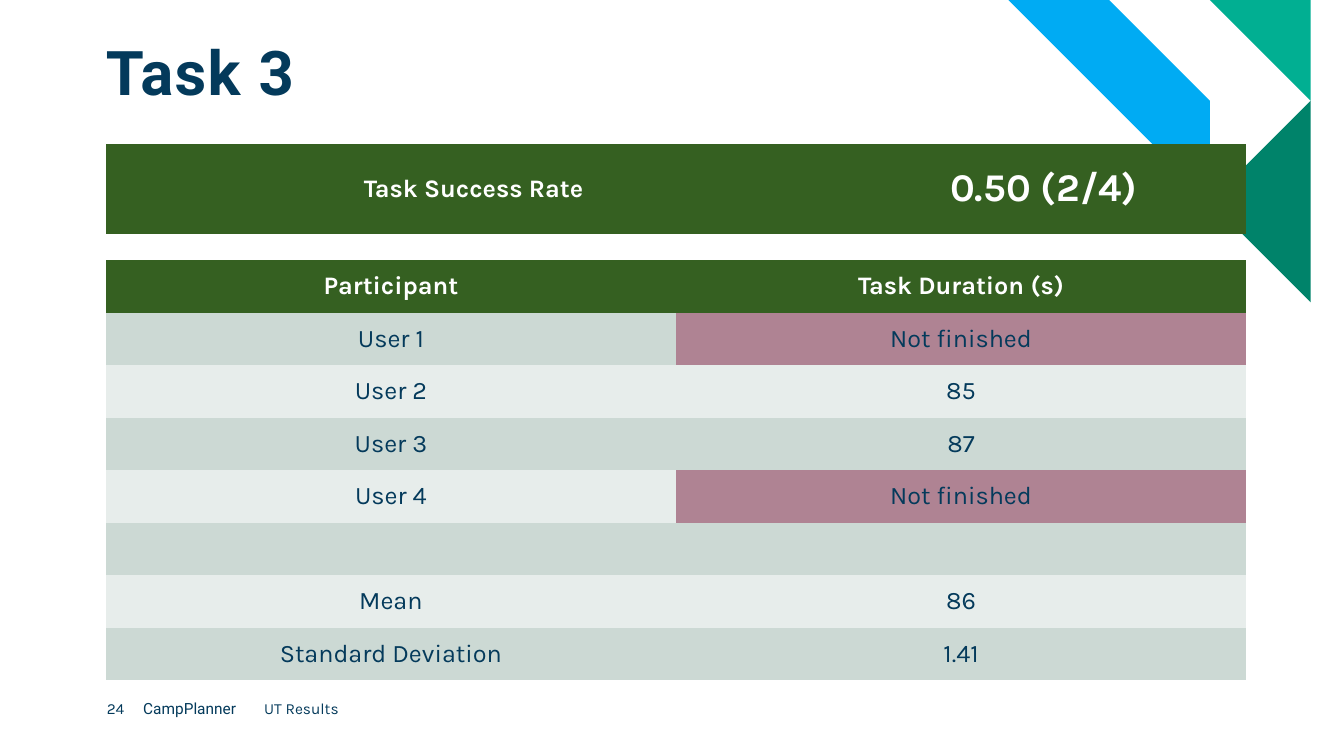
from pptx import Presentation
from pptx import util as u
from pptx.dml.color import RGBColor
from pptx.enum import text
from pptx.oxml.ns import qn

NAVY = RGBColor(0x04, 0x3A, 0x5B)
WHITE = RGBColor(0xFF, 0xFF, 0xFF)
GREEN = RGBColor(0x35, 0x60, 0x21)
BANDS = [RGBColor(0xCC, 0xD9, 0xD4), RGBColor(0xE7, 0xED, 0xEB)]
FAILED = RGBColor(0xAF, 0x83, 0x93)
BLUE = RGBColor(0x00, 0xAB, 0xF3)
MINT = RGBColor(0x01, 0xAF, 0x92)
TEAL = RGBColor(0x00, 0x83, 0x6A)

WIDTH, HEIGHT = 13.33, 7.5
LEFT, TABLE_WIDTH = 1.05, 11.31
NO_STYLE = "{2D5ABB26-0587-4C30-8999-92F81FD0307C}"

presentation = Presentation()
presentation.slide_width = u.Inches(WIDTH)
presentation.slide_height = u.Inches(HEIGHT)
slide = presentation.slides.add_slide(presentation.slide_layouts[6])


def add_label(words, left, top, width, height, size, font_name):
    shape = slide.shapes.add_textbox(*map(u.Inches, (left, top, width, height)))
    frame = shape.text_frame
    frame.word_wrap = True
    frame.margin_left = frame.margin_right = frame.margin_top = frame.margin_bottom = 0
    paragraph = frame.paragraphs[0]
    paragraph.text = words
    paragraph.font.size = u.Pt(size)
    paragraph.font.name = font_name
    paragraph.font.color.rgb = NAVY
    return frame


def add_grid(rows, top, height, column_shares):
    """Add a table whose first row is a header; None marks a merged empty row."""
    frame = slide.shapes.add_table(
        len(rows), 2, *map(u.Inches, (LEFT, top, TABLE_WIDTH, height)))
    table = frame.table
    table._tbl.tblPr.find(qn("a:tableStyleId")).text = NO_STYLE
    for column, share in zip(table.columns, column_shares):
        column.width = u.Inches(TABLE_WIDTH * share)
    for i, row in enumerate(rows):
        table.rows[i].height = u.Inches(height / len(rows))
        for j, words in enumerate(row or ("", "")):
            cell = table.cell(i, j)
            cell.vertical_anchor = text.MSO_ANCHOR.MIDDLE
            cell.fill.solid()
            fill = GREEN if i == 0 else BANDS[(i - 1) % 2]
            cell.fill.fore_color.rgb = FAILED if words == "Not finished" else fill
            paragraph = cell.text_frame.paragraphs[0]
            paragraph.text = words
            paragraph.alignment = text.PP_ALIGN.CENTER
            paragraph.font.size = u.Pt(18)
            paragraph.font.name = "Karla"
            paragraph.font.bold = i == 0
            paragraph.font.color.rgb = WHITE if i == 0 else NAVY
        if row is None:
            table.cell(i, 0).merge(table.cell(i, 1))
    return table


# Corner decoration
corner_shapes = [
    (BLUE, [(10.1, -0.02), (11.19, -0.02), (12.27, 1.07), (11.73, 1.61)]),
    (MINT, [(12.27, -0.02), (WIDTH, -0.02), (WIDTH, 1.04)]),
    (TEAL, [(WIDTH, 3.22), (12.27, 2.16), (WIDTH, 1.09)]),
]
for color, points in corner_shapes:
    builder = slide.shapes.build_freeform(*points[0], scale=u.Inches(1))
    builder.add_line_segments(points[1:], close=True)
    shape = builder.convert_to_shape()
    shape.shadow.inherit = False
    shape.fill.solid()
    shape.fill.fore_color.rgb = color
    shape.line.fill.background()

# Footer
add_label("24", 1.06, 6.94, 0.36, 0.29, 11, "Karla")
add_label("CampPlanner", 1.42, 6.94, 1.2, 0.29, 11, "Roboto")
add_label("UT Results", 2.62, 6.94, 1.33, 0.4, 11, "Karla")

# Task durations
durations = [
    ("Participant", "Task Duration (s)"),
    ("User 1", "Not finished"),
    ("User 2", "85"),
    ("User 3", "87"),
    ("User 4", "Not finished"),
    None,
    ("Mean", "86"),
    ("Standard Deviation", "1.41"),
]
add_grid(durations, 2.58, 4.17, (1 / 2, 1 / 2))

# Success rate
success = add_grid([("Task Success Rate", "0.50 (2/4)")], 1.43, 0.89, (0.645, 0.355))
success.cell(0, 1).text_frame.paragraphs[0].font.size = u.Pt(28)

# Title
title = add_label("Task 3", LEFT, 0.41, 5.4, 0.67, 44, "Roboto")
title.vertical_anchor = text.MSO_ANCHOR.BOTTOM
heading = title.paragraphs[0]
heading.line_spacing = 0.9
heading.font.bold = True
heading.runs[0]._r.get_or_add_rPr().set("spc", "100")

presentation.save("out.pptx")
